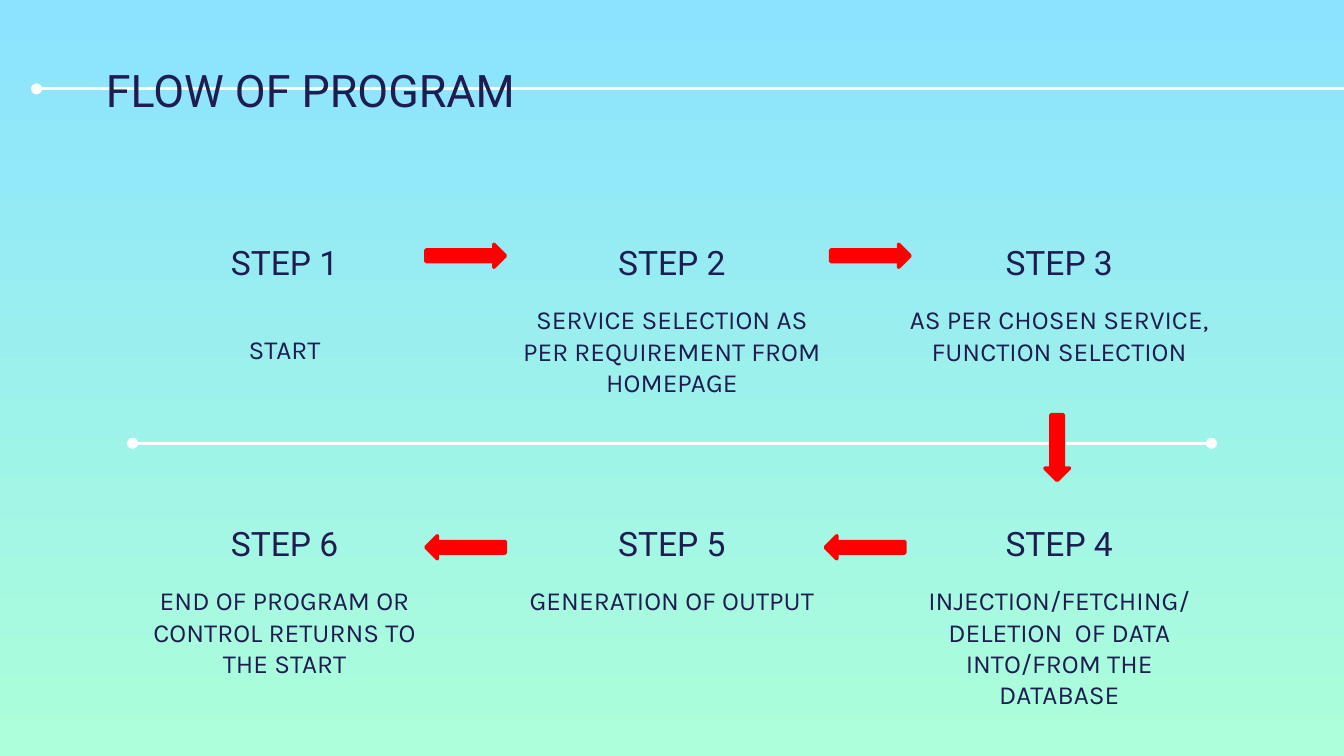
from pptx import Presentation
from pptx.dml.color import RGBColor
from pptx.enum.shapes import MSO_CONNECTOR, MSO_SHAPE
from pptx.enum.text import MSO_ANCHOR, PP_ALIGN
from pptx.oxml.ns import qn
from pptx.util import Cm, Pt
from lxml.etree import SubElement

STRAIGHT = MSO_CONNECTOR.STRAIGHT
ARROW = MSO_SHAPE.RIGHT_ARROW
TOP, MID, LOW = MSO_ANCHOR.TOP, MSO_ANCHOR.MIDDLE, MSO_ANCHOR.BOTTOM
LEFT, CENTER = PP_ALIGN.LEFT, PP_ALIGN.CENTER
WIDE, HIGH = 25.4, 14.29
INK, WHITE, RED = "1F1C51", "FFFFFF", "FF0000"
STEP_W, STEP_H, GAP_X, GAP_Y = 6.15, 3.61, 7.32, 5.31
STEPS = [
    (0, 0, "STEP 1", "START", MID),
    (1, 0, "STEP 2", "SERVICE SELECTION AS PER REQUIREMENT FROM HOMEPAGE", TOP),
    (2, 0, "STEP 3", "AS PER CHOSEN SERVICE, FUNCTION SELECTION", TOP),
    (2, 1, "STEP 4", "INJECTION/FETCHING/ DELETION  OF DATA INTO/FROM THE DATABASE", TOP),
    (1, 1, "STEP 5", "GENERATION OF OUTPUT", TOP),
    (0, 1, "STEP 6", "END OF PROGRAM OR CONTROL RETURNS TO THE START", TOP),
]
ARROWS = [
    (8.05, 4.62, 1.5, 0.43, 0),
    (15.7, 4.62, 1.5, 0.43, 0),
    (19.36, 8.23, 1.24, 0.46, 90),
    (15.6, 10.13, 1.5, 0.43, 180),
    (8.05, 10.13, 1.5, 0.43, 180),
]


def color(code):
    """Turn a hex string into a colour."""
    return RGBColor.from_string(code)


def write(slide, text, box, size=14, font="Karla", align=CENTER, anchor=TOP, after=0):
    """Place one paragraph of text in a box."""
    frame = slide.shapes.add_textbox(*map(Cm, box)).text_frame
    frame.word_wrap = True
    frame.vertical_anchor = anchor
    frame.margin_left = frame.margin_right = Cm(0.25)
    frame.margin_top = frame.margin_bottom = Cm(0.25)
    para = frame.paragraphs[0]
    para.alignment = align
    para.space_after = Pt(after)
    run = para.add_run()
    run.text = text
    run.font.size = Pt(size)
    run.font.name = font
    run.font.color.rgb = color(INK)


def rule(slide, left, right, y, ends):
    """Draw a white level line with dots at the given ends."""
    line = slide.shapes.add_connector(STRAIGHT, Cm(left), Cm(y), Cm(right), Cm(y))
    line.line.color.rgb = color(WHITE)
    line.line.width = Pt(1.5)
    props = line._element.spPr
    for end in ends:
        SubElement(props.find(qn("a:ln")), qn(end), type="oval")
    SubElement(props, qn("a:effectLst"))


def arrow(slide, box, turn):
    """Draw a red block arrow with round corners."""
    shape = slide.shapes.add_shape(ARROW, *map(Cm, box))
    shape.rotation = turn
    shape.shadow.inherit = False
    shape.fill.solid()
    shape.fill.fore_color.rgb = color(RED)
    shape.line.color.rgb = color(RED)
    shape.line.width = Pt(2)
    SubElement(shape._element.spPr.find(qn("a:ln")), qn("a:round"))


def header(slide, box):
    """Place the title and the line that runs behind it."""
    left, top, wide, high = box
    rule(slide, left, left + wide, top + 0.74, ["a:headEnd"])
    write(slide, "FLOW OF PROGRAM", (left + 1.06, top, 16.9, high),
          size=24, font="Roboto", align=LEFT)


def step(slide, box, name, text, anchor):
    """Place a step name above its text."""
    left, top, wide, high = box
    write(slide, text, (left, top + 1.4, wide, high - 1.4), anchor=anchor, after=16)
    write(slide, name, (left, top, wide, 1.5), size=18, font="Roboto", anchor=LOW)


def flow(slide, box):
    """Place the grid of steps, its dividing line and the arrows."""
    left, top, wide, high = box
    for col, row, name, text, anchor in STEPS:
        place = (left + col * GAP_X, top + row * GAP_Y, STEP_W, STEP_H)
        step(slide, place, name, text, anchor)
    rule(slide, left + 0.2, left + wide - 0.2, top + 4.29, ["a:headEnd", "a:tailEnd"])
    for x, y, long, thick, turn in ARROWS:
        arrow(slide, (x, y, long, thick), turn)


def paint(slide):
    """Fill the background from blue down to green."""
    fill = slide.background.fill
    fill.gradient()
    fill.gradient_angle = 270
    for stop, code in zip(fill.gradient_stops, ("8BE3FF", "ACFFD9")):
        stop.color.rgb = color(code)


def main():
    """Build and save the slide."""
    deck = Presentation()
    deck.slide_width, deck.slide_height = Cm(WIDE), Cm(HIGH)
    slide = deck.slides.add_slide(deck.slide_layouts[6])
    paint(slide)
    header(slide, (0.69, 0.94, WIDE - 0.69, 1.5))
    wide = 2 * GAP_X + STEP_W
    flow(slide, ((WIDE - wide) / 2, 4.09, wide, GAP_Y + STEP_H))
    deck.save("out.pptx")


if __name__ == "__main__":
    main()
